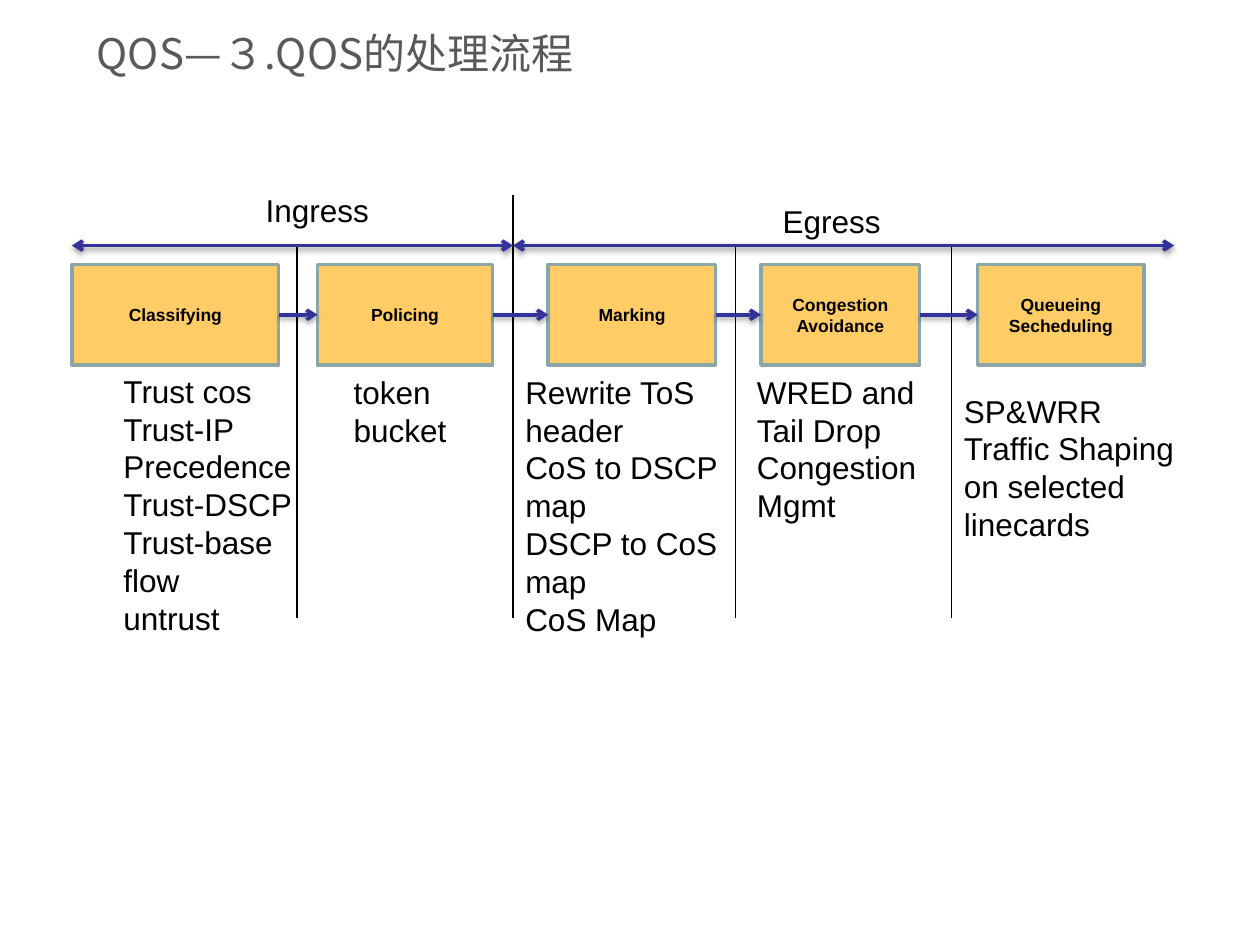
from itertools import pairwise

from lxml import etree
from pptx import Presentation
from pptx.dml.color import RGBColor
from pptx.enum import shapes, text
from pptx.oxml import ns
from pptx.util import Cm, Pt

BLACK = RGBColor(0x00, 0x00, 0x00)
GREY = RGBColor(0x59, 0x59, 0x59)
AMBER = RGBColor(0xFF, 0xCC, 0x66)
TEAL = RGBColor(0x8A, 0xA6, 0xA8)
INDIGO = RGBColor(0x33, 0x33, 0x99)

BODY_FONT = "Arial"
TITLE_FONT = "Noto Sans CJK SC"

STAGE_TOP, STAGE_HEIGHT = 5.33, 2.03
SPAN_Y = 4.95
DIVIDER_BOTTOM = 12.45
FLOW_LEFT, FLOW_MIDDLE, FLOW_RIGHT = 1.45, 10.34, 23.67

# label, left, width
STAGES = [
    ("Classifying", 1.45, 4.17),
    ("Policing", 6.4, 3.53),
    ("Marking", 11.05, 3.38),
    ("Congestion Avoidance", 15.34, 3.2),
    ("Queueing Secheduling", 19.71, 3.35),
]

# x, top
DIVIDERS = [(5.99, SPAN_Y), (FLOW_MIDDLE, 3.94), (14.83, SPAN_Y), (19.18, SPAN_Y)]

# label, left, top, width
DIRECTIONS = [("Ingress", 2.84, 3.73, 7.11), ("Egress", 11.05, 3.94, 11.43)]

# lines, left, top, width, height
NOTES = [
    (["Trust cos", "Trust-IP Precedence", "Trust-DSCP", "Trust-base flow", "untrust"],
     2.24, 7.37, 4.65, 7.19),
    (["token bucket"], 6.88, 7.39, 3.05, 1.8),
    (["Rewrite ToS header", "CoS to DSCP map", "DSCP to CoS map", "CoS Map"],
     10.34, 7.39, 4.67, 7.19),
    (["WRED and Tail Drop Congestion Mgmt"], 15.01, 7.39, 4.17, 4.11),
    (["SP&WRR", "Traffic Shaping on selected linecards"], 19.18, 7.77, 5.13, 4.88),
]


def write_lines(frame, lines, size, align=text.PP_ALIGN.LEFT, bold=False,
                font=BODY_FONT, color=BLACK):
    """Fill a text frame with one paragraph for each line."""
    frame.word_wrap = True
    for index, line in enumerate(lines):
        para = frame.paragraphs[0] if index == 0 else frame.add_paragraph()
        para.alignment = align
        span = para.add_run()
        span.text = line
        span.font.size = Pt(size)
        span.font.bold = bold
        span.font.name = font
        span.font.color.rgb = color
        east_asian = etree.SubElement(span.font._element, ns.qn("a:ea"))
        east_asian.set("typeface", font)


def add_text(page, lines, left, top, width, height, size=18, **style):
    box = page.shapes.add_textbox(Cm(left), Cm(top), Cm(width), Cm(height))
    write_lines(box.text_frame, lines, size, **style)
    return box


def add_stage(page, label, left, width):
    box = page.shapes.add_shape(shapes.MSO_SHAPE.RECTANGLE, Cm(left), Cm(STAGE_TOP),
                                Cm(width), Cm(STAGE_HEIGHT))
    box.shadow.inherit = False
    box.fill.solid()
    box.fill.fore_color.rgb = AMBER
    box.line.color.rgb = TEAL
    box.line.width = Pt(2)
    box.text_frame.vertical_anchor = text.MSO_ANCHOR.MIDDLE
    write_lines(box.text_frame, [label], 10, text.PP_ALIGN.CENTER, bold=True)


def add_line(page, start, end, color=BLACK, width=0.75):
    """Draw a straight line and return it with its empty effect list."""
    line = page.shapes.add_connector(shapes.MSO_CONNECTOR.STRAIGHT,
                                     *map(Cm, start), *map(Cm, end))
    line.line.color.rgb = color
    line.line.width = Pt(width)
    effects = etree.SubElement(line._element.spPr, ns.qn("a:effectLst"))
    return line, effects


def add_arrow(page, start, end, both_ends=False):
    """Draw a shadowed arrow, pointing at its end or both ways."""
    line, effects = add_line(page, start, end, INDIGO, 2)
    outline = line.line._get_or_add_ln()
    for tag in ("a:headEnd", "a:tailEnd") if both_ends else ("a:tailEnd",):
        etree.SubElement(outline, ns.qn(tag)).set("type", "arrow")
    shadow = etree.SubElement(effects, ns.qn("a:outerShdw"), blurRad=str(Pt(3.1)),
                              dist=str(Pt(1.6)), dir="5400000", rotWithShape="0")
    shade = etree.SubElement(shadow, ns.qn("a:srgbClr"), val=str(BLACK))
    etree.SubElement(shade, ns.qn("a:alpha"), val="38000")


def main():
    deck = Presentation()
    deck.slide_width, deck.slide_height = Cm(25.4), Cm(19.05)
    page = deck.slides.add_slide(deck.slide_layouts[6])

    add_text(page, ["QOS—３.QOS的处理流程"], 1.7, 0.43, 22.02, 1.47, size=24,
             font=TITLE_FONT, color=GREY)

    for stage in STAGES:
        add_stage(page, *stage)
    for x, top in DIVIDERS:
        add_line(page, (x, top), (x, DIVIDER_BOTTOM))
    for left, right in pairwise((FLOW_LEFT, FLOW_MIDDLE, FLOW_RIGHT)):
        add_arrow(page, (left, SPAN_Y), (right, SPAN_Y), both_ends=True)

    middle = STAGE_TOP + STAGE_HEIGHT / 2
    for (_, left, width), (_, next_left, _) in pairwise(STAGES):
        add_arrow(page, (left + width, middle), (next_left, middle))

    for label, left, top, width in DIRECTIONS:
        add_text(page, [label], left, top, width, 1.02, align=text.PP_ALIGN.CENTER)
    for note in NOTES:
        box = add_text(page, *note)
        box.text_frame.auto_size = text.MSO_AUTO_SIZE.SHAPE_TO_FIT_TEXT

    deck.save("out.pptx")


if __name__ == "__main__":
    main()
